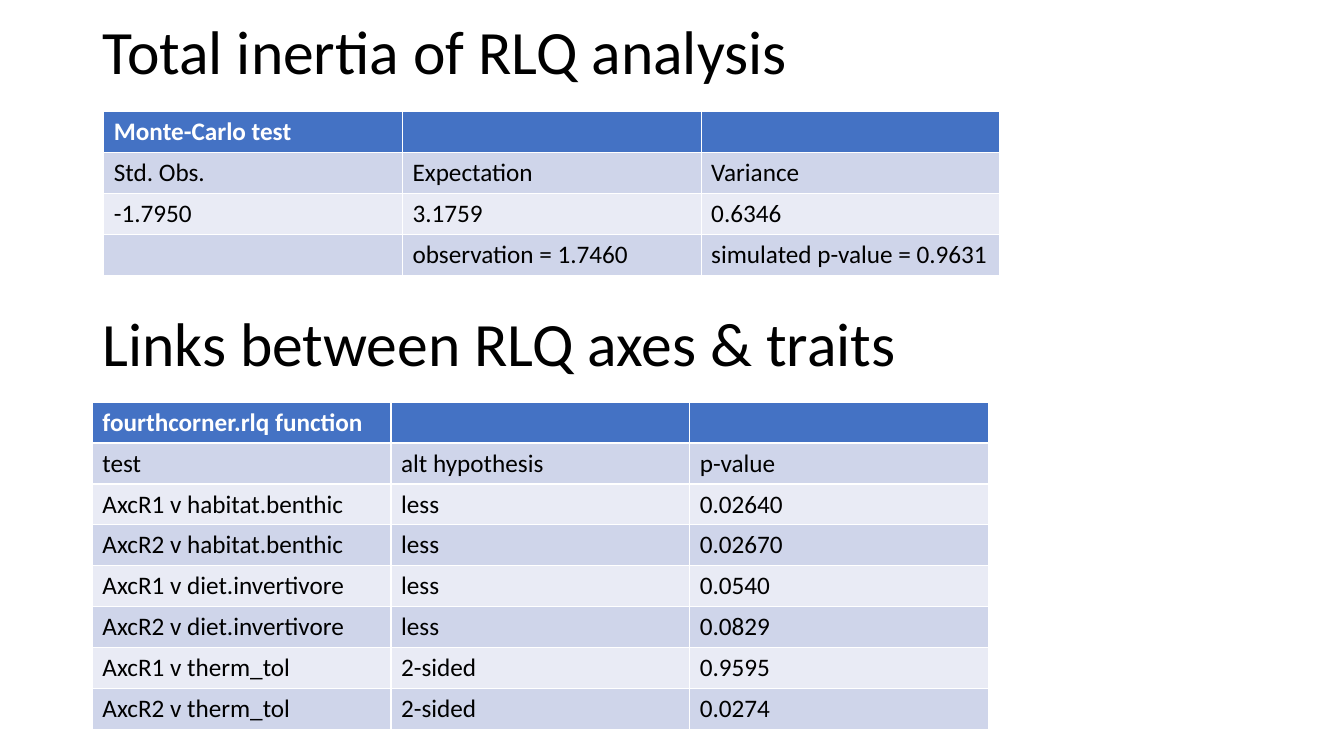
from pptx import Presentation
from pptx.dml.color import RGBColor
from pptx.enum.text import MSO_ANCHOR as Anchor, MSO_AUTO_SIZE as AutoSize, PP_ALIGN as Align
from pptx.util import Inches, Pt

COLORS = {"header": "4472C4", "odd": "CFD5EA", "even": "E9EBF5",
          "text": "000000", "header_text": "FFFFFF"}
GRID_COLUMNS, GRID_ROWS = 160, 90
LEFT = 11  # shared left edge, in grid columns

RLQ_TEST = [
    ["Monte-Carlo test", "", ""],
    ["Std. Obs.", "Expectation", "Variance"],
    ["-1.7950", "3.1759", "0.6346"],
    ["", "observation = 1.7460", "simulated p-value = 0.9631"],
]
TRAIT_LINKS = [
    ["fourthcorner.rlq function", "", ""],
    ["test", "alt hypothesis", "p-value"],
    ["AxcR1 v habitat.benthic", "less", "0.02640"],
    ["AxcR2 v habitat.benthic", "less", "0.02670"],
    ["AxcR1 v diet.invertivore", "less", "0.0540"],
    ["AxcR2 v diet.invertivore", "less", "0.0829"],
    ["AxcR1 v therm_tol", "2-sided", "0.9595"],
    ["AxcR2 v therm_tol", "2-sided", "0.0274"],
]


class SlideBuilder:
    """Holds the style and the current slide; lengths are grid units."""
    font_name = "Calibri"
    heading_size, cell_size = Pt(44), Pt(18)
    heading_width, heading_height = 138, 13.68
    column_width, row_height = 35.56, 4.86

    def __init__(self, presentation):
        self.unit_x = presentation.slide_width / GRID_COLUMNS
        self.unit_y = presentation.slide_height / GRID_ROWS
        self.slide = presentation.slides.add_slide(presentation.slide_layouts[5])

    def box(self, left, top, width, height):
        return [round(left * self.unit_x), round(top * self.unit_y),
                round(width * self.unit_x), round(height * self.unit_y)]

    def style_font(self, font, color, **values):
        for name, value in {"name": self.font_name, **values}.items():
            setattr(font, name, value)
        font.color.rgb = RGBColor.from_string(COLORS[color])

    def heading(self, text, top, is_title=False):
        box = self.box(LEFT, top, self.heading_width, self.heading_height)
        if is_title:
            shape = self.slide.shapes.title
            shape.left, shape.top, shape.width, shape.height = box
        else:
            shape = self.slide.shapes.add_textbox(*box)
        frame = shape.text_frame
        frame_format = {"text": text, "word_wrap": True, "auto_size": AutoSize.NONE,
                        "vertical_anchor": Anchor.MIDDLE}
        for name, value in frame_format.items():
            setattr(frame, name, value)
        paragraph = frame.paragraphs[0]
        paragraph.alignment, paragraph.line_spacing = Align.LEFT, 0.9
        self.style_font(paragraph.runs[0].font, "text", size=self.heading_size)

    def table(self, rows, left, top):
        column_count = len(rows[0])
        box = self.box(left, top, column_count * self.column_width,
                       len(rows) * self.row_height)
        table = self.slide.shapes.add_table(len(rows), column_count, *box).table
        for row_index, row in enumerate(rows):
            is_header = row_index == 0
            band = "header" if is_header else ("even", "odd")[row_index % 2]
            for column_index, text in enumerate(row):
                cell = table.cell(row_index, column_index)
                cell.text = text
                cell.fill.solid()
                cell.fill.fore_color.rgb = RGBColor.from_string(COLORS[band])
                self.style_font(cell.text_frame.paragraphs[0].font,
                                "header_text" if is_header else "text",
                                size=self.cell_size, bold=is_header)
                for run in cell.text_frame.paragraphs[0].runs:
                    self.style_font(run.font, "header_text" if is_header else "text",
                                    size=self.cell_size, bold=is_header)


def main():
    presentation = Presentation()
    presentation.slide_width, presentation.slide_height = Inches(13.333), Inches(7.5)
    builder = SlideBuilder(presentation)

    # Total inertia
    builder.heading("Total inertia of RLQ analysis", -0.36, is_title=True)
    builder.table(RLQ_TEST, LEFT + 1.36, 13.32)

    # Links between axes and traits
    builder.heading("Links between RLQ axes & traits", 34.44)
    builder.table(TRAIT_LINKS, LEFT, 47.88)

    presentation.save("out.pptx")


if __name__ == "__main__":
    main()
